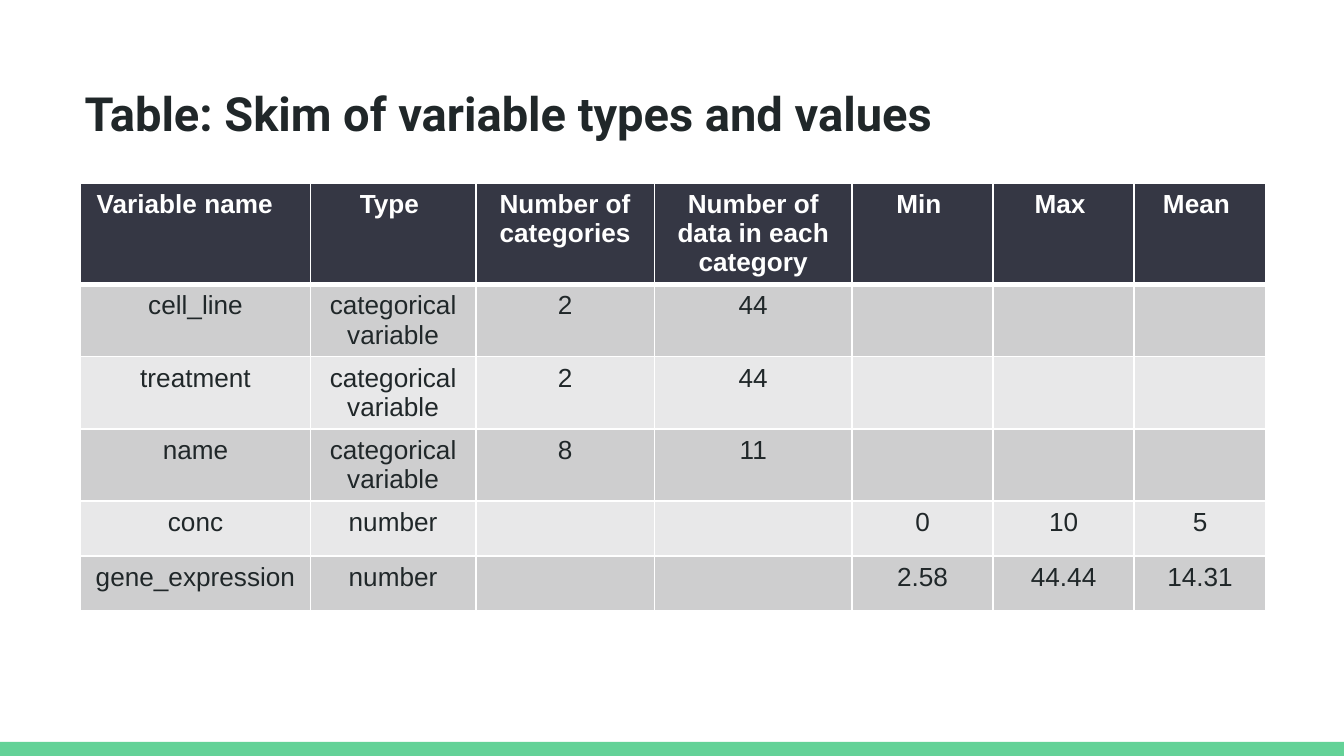
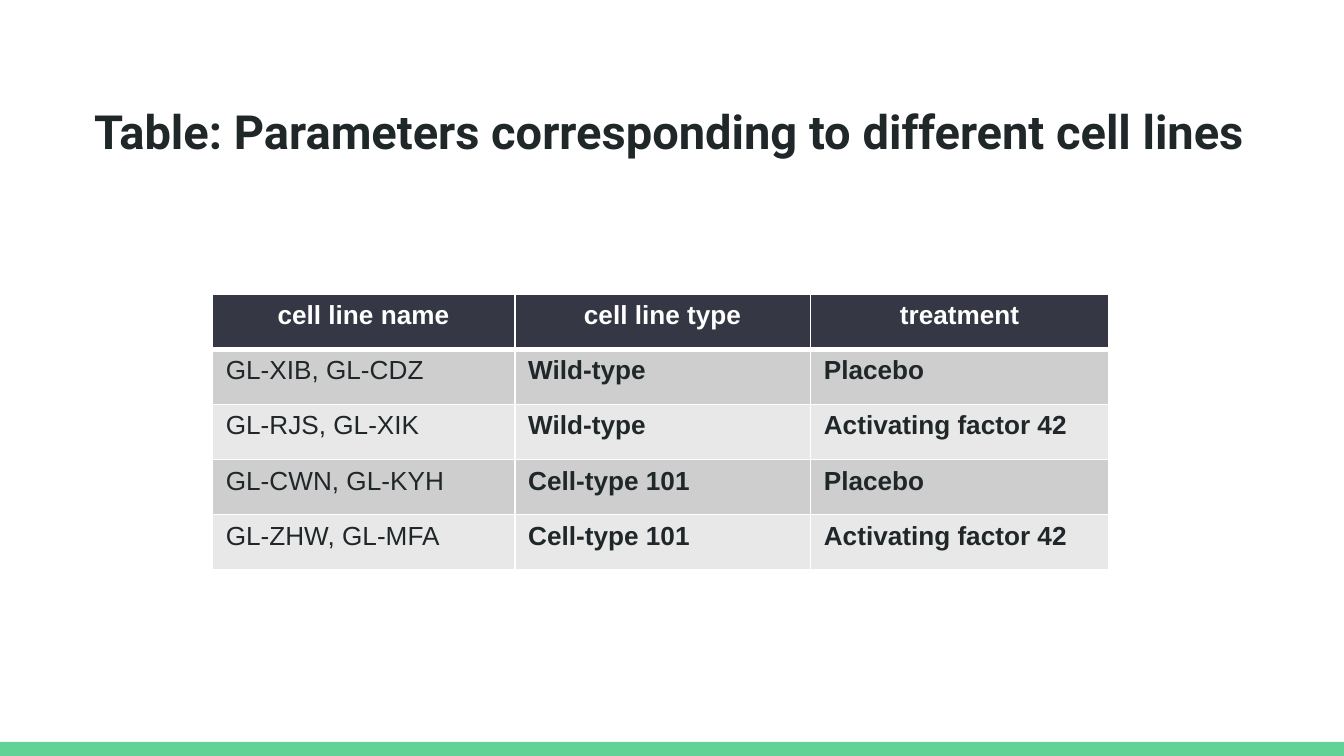
"""Build two slides of tables describing the variables and the cell lines."""
from pptx import Presentation
from pptx import util as u
from pptx.dml import color
from pptx.enum import shapes, text
from pptx.oxml import parse_xml
from pptx.oxml.ns import nsdecls

INK, WHITE, GREEN = "202729", "FFFFFF", "63D297"
HEADER, BANDS = "353744", ("E8E8E9", "CECECF")
CENTER, LEFT = text.PP_ALIGN.CENTER, text.PP_ALIGN.LEFT


def paint(fill, shade):
    fill.solid()
    fill.fore_color.rgb = color.RGBColor.from_string(shade)


def style(para, font, size, shade, bold, align):
    para.alignment = align
    for span in para.runs:
        span.font.name = font
        span.font.size = u.Pt(size)
        span.font.bold = bold
        paint(span.font.fill, shade)


pages = [
    {
        "title": "Table: Skim of variable types and values",
        "title_at": (0.53, 0.53),
        "table_at": (0.6, 1.36),
        "height": 3.31,
        "widths": [1.71, 1.23, 1.33, 1.47, 1.05, 1.05, 0.98],
        "body_align": CENTER,
        "bold_from": 7,
        "rows": [
            ["Variable name", "Type ", "Number of categories",
             "Number of data in each category", "Min ", "Max ", "Mean "],
            ["cell_line", "categorical variable", "2", "44", "", "", ""],
            ["treatment", "categorical variable", "2", "44", "", "", ""],
            ["name", "categorical variable", "8", "11", "", "", ""],
            ["conc", "number", "", "", "0", "10", "5"],
            ["gene_expression", "number", "", "", "2.58", "44.44", "14.31"],
        ],
    },
    {
        "title": "Table: Parameters corresponding to different cell lines",
        "title_at": (0.6, 0.66),
        "table_at": (1.58, 2.19),
        "height": 2.03,
        "widths": [2.25, 2.2, 2.22],
        "body_align": LEFT,
        "bold_from": 1,
        "rows": [
            ["cell line name", "cell line type", "treatment"],
            ["GL-XIB, GL-CDZ", "Wild-type", "Placebo"],
            ["GL-RJS, GL-XIK", "Wild-type", "Activating factor 42"],
            ["GL-CWN, GL-KYH", "Cell-type 101", "Placebo"],
            ["GL-ZHW, GL-MFA", "Cell-type 101", "Activating factor 42"],
        ],
    },
]

deck = Presentation()
deck.slide_width = u.Inches(10)
deck.slide_height = deck.slide_width * 9 // 16
layout = deck.slide_layouts[5]
paint(layout.background.fill, WHITE)

for number, content in enumerate(pages):
    page = deck.slides.add_slide(layout)
    if number == 0:
        band = page.shapes.add_shape(
            shapes.MSO_SHAPE.RECTANGLE, 0, u.Inches(5.52), deck.slide_width, u.Inches(0.11))
        band.shadow.inherit = False
        paint(band.fill, GREEN)
        band.line.fill.background()
        layout.shapes.element.append(band.element)

    title = page.shapes.title
    title.left, title.top = map(u.Inches, content["title_at"])
    title.width, title.height = u.Inches(8.81), u.Inches(0.63)
    frame = title.text_frame
    frame.text = content["title"]
    frame.auto_size = text.MSO_AUTO_SIZE.NONE
    frame.vertical_anchor = text.MSO_ANCHOR.TOP
    frame.margin_left = frame.margin_right = u.Inches(0.1)
    frame.margin_top = frame.margin_bottom = u.Inches(0.1)
    style(frame.paragraphs[0], "Roboto", 25.2, INK, True, LEFT)

    rows, widths = content["rows"], content["widths"]
    left, top = map(u.Inches, content["table_at"])
    holder = page.shapes.add_table(
        len(rows), len(widths), left, top, u.Inches(sum(widths)), u.Inches(content["height"]))
    table = holder.table
    for column, width in zip(table.columns, widths):
        column.width = u.Inches(width)
    for row in table.rows:
        row.height = u.Inches(0.41)
    holder.height = u.Inches(content["height"])

    for r, values in enumerate(rows):
        for c, value in enumerate(values):
            cell = table.cell(r, c)
            cell.text = value
            para = cell.text_frame.paragraphs[0]
            para.font.size = u.Pt(14)
            if r == 0:
                style(para, "Arial", 14, WHITE, True, CENTER)
            else:
                bold = c >= content["bold_from"]
                style(para, "Arial", 14, INK, bold, content["body_align"])
            if value == "Variable name":
                cell.margin_right = u.Inches(0.26)
            properties = cell._tc.get_or_add_tcPr()
            for side in "LRTB":
                thick = (r, side) in [(0, "B"), (1, "T")]
                properties.append(parse_xml(
                    f'<a:ln{side} {nsdecls("a")} w="{u.Pt(3 if thick else 1)}">'
                    f'<a:solidFill><a:srgbClr val="{WHITE}"/></a:solidFill></a:ln{side}>'))
            paint(cell.fill, BANDS[r % 2] if r else HEADER)

deck.save("out.pptx")
